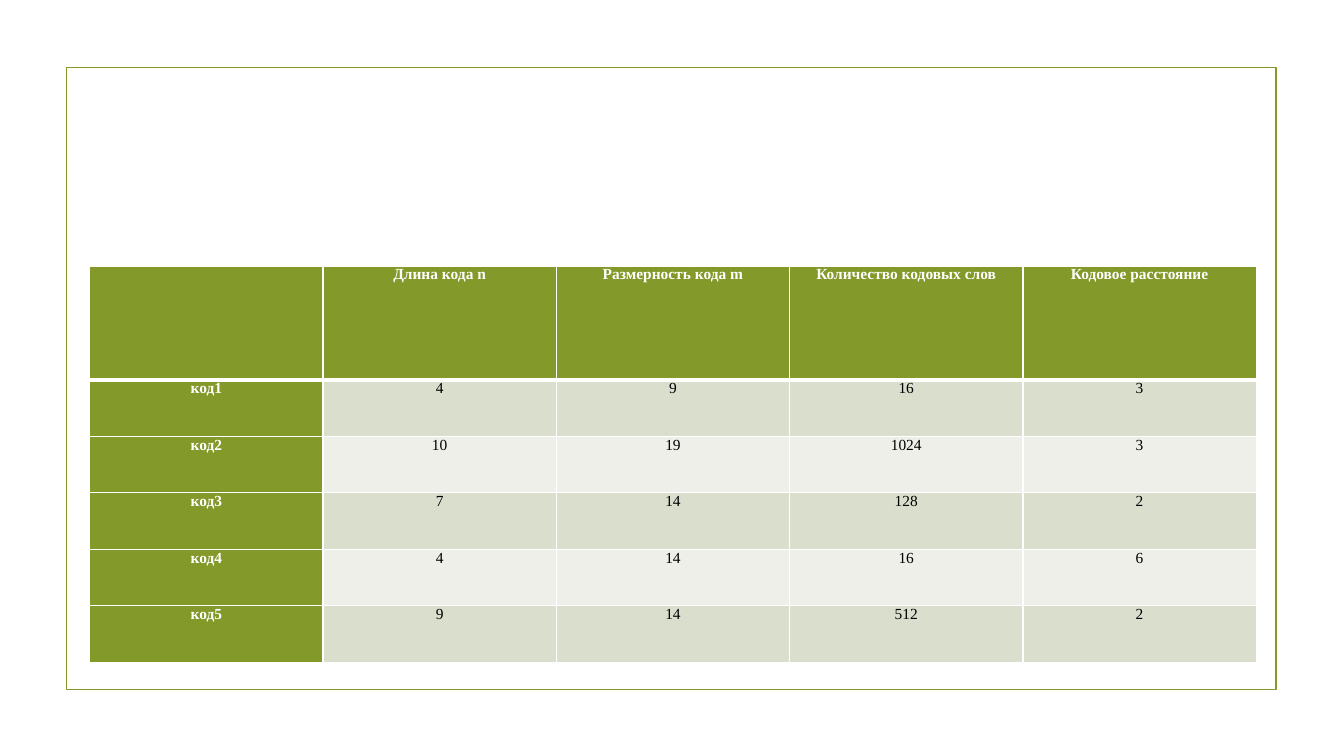
from dataclasses import dataclass

from lxml import etree
from pptx import Presentation, util as u
from pptx.dml.color import RGBColor
from pptx.enum import shapes, text
from pptx.oxml import ns


@dataclass(frozen=True)
class Theme:
    """Colours and type of the slide."""
    accent: str = "83992A"
    white: str = "FFFFFF"
    ink: str = "000000"
    bands: tuple = ("D9DECD", "EDEFE8")
    font: str = "Times New Roman"
    size: int = 11
    frame_line: float = 1.25
    cell_line: int = 1
    header_line: int = 3


THEME = Theme()
HEADINGS = ("", "Длина кода n", "Размерность кода m",
            "Количество кодовых слов", "Кодовое расстояние")
CODES = (
    ("код1", 4, 9, 16, 3),
    ("код2", 10, 19, 1024, 3),
    ("код3", 7, 14, 128, 2),
    ("код4", 4, 14, 16, 6),
    ("код5", 9, 14, 512, 2),
)
HEADER_HEIGHT, CODE_HEIGHT = 113, 56


def px(length):
    """Turn pixels, 100 to the inch, into EMU."""
    return u.Emu(length * 9144)


def rgb(colour):
    """Turn a hex string into a colour."""
    return RGBColor.from_string(colour)


def add_frame(slide, left, top, width, height):
    """Draw the outlined frame around the content."""
    frame = slide.shapes.add_shape(
        shapes.MSO_SHAPE.RECTANGLE, px(left), px(top), px(width), px(height))
    frame.shadow.inherit = False
    frame.fill.background()
    frame.line.color.rgb = rgb(THEME.accent)
    frame.line.width = u.Pt(THEME.frame_line)


def add_borders(cell, widths):
    """Give a cell white borders of the given widths by side."""
    properties = cell._tc.get_or_add_tcPr()
    for side, width in widths.items():
        border = etree.SubElement(
            properties, ns.qn(f"a:ln{side}"), w=str(u.Pt(width)))
        fill = etree.SubElement(border, ns.qn("a:solidFill"))
        etree.SubElement(fill, ns.qn("a:srgbClr"), val=THEME.white)


def format_cell(cell, value, fill, colour, bold):
    """Fill a cell and write its centred value."""
    margins = {"margin_left": px(7), "margin_right": px(7),
               "margin_top": 0, "margin_bottom": 0}
    for name, margin in margins.items():
        setattr(cell, name, margin)
    cell.fill.solid()
    cell.fill.fore_color.rgb = rgb(fill)
    cell.text = str(value)
    paragraph = cell.text_frame.paragraphs[0]
    paragraph.alignment = text.PP_ALIGN.CENTER
    style = {"name": THEME.font, "size": u.Pt(THEME.size), "bold": bold}
    for run in paragraph.runs:
        for name, setting in style.items():
            setattr(run.font, name, setting)
        run.font.color.rgb = rgb(colour)


def add_code_table(slide, left, top, width):
    """Build the table that compares the codes."""
    rows = (HEADINGS, *CODES)
    height = HEADER_HEIGHT + CODE_HEIGHT * len(CODES)
    table = slide.shapes.add_table(
        len(rows), len(HEADINGS), px(left), px(top), px(width), px(height)).table
    table.first_col = True
    for column in table.columns:
        column.width = px(width) // len(HEADINGS)
    for r, values in enumerate(rows):
        table.rows[r].height = px(CODE_HEIGHT if r else HEADER_HEIGHT)
        borders = {"L": THEME.cell_line, "R": THEME.cell_line,
                   "T": THEME.header_line if r == 1 else THEME.cell_line,
                   "B": THEME.header_line if r == 0 else THEME.cell_line}
        for c, value in enumerate(values):
            heading = r == 0 or c == 0
            fill = THEME.accent if heading else THEME.bands[(r - 1) % 2]
            colour = THEME.white if heading else THEME.ink
            add_borders(table.cell(r, c), borders)
            format_cell(table.cell(r, c), value, fill, colour, heading)


def main():
    """Build and save the slide."""
    deck = Presentation()
    deck.slide_width, deck.slide_height = px(1333), px(750)
    slide = deck.slides.add_slide(deck.slide_layouts[6])
    add_frame(slide, 66, 67, 1200, 617)
    add_code_table(slide, 89, 264, 1157)
    deck.save("out.pptx")


if __name__ == "__main__":
    main()
